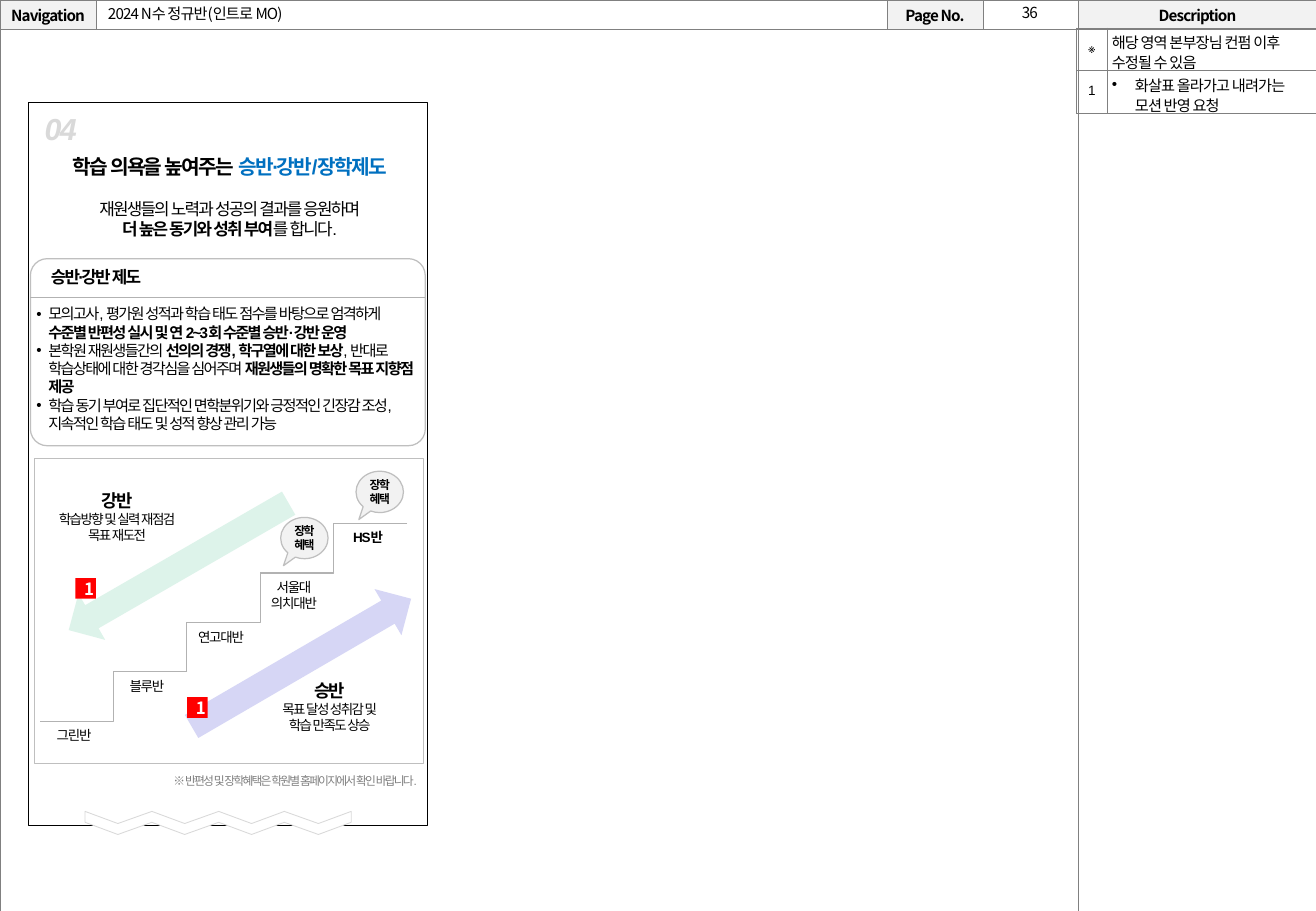
from lxml import etree
from pptx import Presentation, util as u
from pptx.dml.color import RGBColor
from pptx.enum import shapes, text
from pptx.oxml.ns import qn

PX = 9144
SANS, KOREAN = "Arial", "Noto Sans CJK KR"
COLOURS = {
    "black": "000000", "white": "FFFFFF", "head": "F2F2F2", "rule": "808080",
    "step": "B2B2B2", "edge": "BFBFBF", "pale": "D9D9D9", "blue": "0070C0",
    "red": "FF0000", "up": "D6D6F5", "down": "DDF3EA",
}
LEFT, CENTER, RIGHT = text.PP_ALIGN.LEFT, text.PP_ALIGN.CENTER, text.PP_ALIGN.RIGHT
MIDDLE = text.MSO_ANCHOR.MIDDLE
SHAPE = shapes.MSO_SHAPE


def colour(name):
    """Return the named colour."""
    return RGBColor.from_string(COLOURS[name])


def place(origin, left, top, width, height):
    """Return EMU lengths for a px box set inside the origin box."""
    return [n * PX for n in (origin[0] + left, origin[1] + top, width, height)]


def add_span(para, words, size=9, bold=False, italic=False, ink="black", spacing=-1,
             latin=SANS, asian=SANS):
    """Add one run to a paragraph."""
    span = para.add_run()
    span.text = words
    font = span.font
    font.size, font.bold, font.italic, font.name = u.Pt(size), bold, italic, latin
    font.color.rgb = colour(ink)
    props = font._element
    props.set("spc", str(round(spacing * 100)))
    etree.SubElement(props, qn("a:ea")).set("typeface", asian)


def write(frame, paras, align=CENTER, indent=0, line=None, gaps=None, **style):
    """Fill a text frame with paragraphs, each a list of words and overrides."""
    for i, spans in enumerate(paras):
        para = frame.paragraphs[0] if i == 0 else frame.add_paragraph()
        para.alignment = align
        if line:
            para.line_spacing = line
        if gaps and i in gaps:
            para.space_before = u.Pt(gaps[i])
        if indent:
            props = para._p.get_or_add_pPr()
            props.set("marL", str(indent * PX))
            props.set("indent", str(-indent * PX))
            etree.SubElement(props, qn("a:buFont")).set("typeface", SANS)
            etree.SubElement(props, qn("a:buChar")).set("char", "•")
        for words, changes in spans:
            add_span(para, words, **{**style, **changes})


def add_text(page, box, paras, anchor=text.MSO_ANCHOR.TOP, **style):
    """Add a wrapping text box."""
    frame = page.shapes.add_textbox(*box).text_frame
    frame.word_wrap, frame.vertical_anchor = True, anchor
    write(frame, paras, **style)


def paint(shape, fill=None, line=None, width=0.25):
    """Set fill and outline and drop the shadow."""
    shape.shadow.inherit = False
    if fill:
        shape.fill.solid()
        shape.fill.fore_color.rgb = colour(fill)
    else:
        shape.fill.background()
    if line:
        shape.line.color.rgb, shape.line.width = colour(line), u.Pt(width)
    else:
        shape.line.fill.background()
    return shape


def add_line(page, kind, start, end):
    """Add a thin grey connector between two px points."""
    line = page.shapes.add_connector(kind, *[n * PX for n in (*start, *end)])
    line.line.color.rgb, line.line.width = colour("step"), u.Pt(0.25)
    etree.SubElement(line._element.spPr, qn("a:effectLst"))


def add_grid(page, box, columns, rows):
    """Add an unstyled table with the given px columns and rows."""
    grid = page.shapes.add_table(len(rows), len(columns), *box).table
    grid.first_row = grid.horz_banding = False
    for column, width in zip(grid.columns, columns):
        column.width = width * PX
    for row, height in zip(grid.rows, rows):
        row.height = height * PX
    return grid


def style_cell(cell, fill=None, margin=0):
    """Set the fill, margins and borders of a cell."""
    cell.vertical_anchor = MIDDLE
    cell.margin_left = cell.margin_right = cell.margin_top = cell.margin_bottom = margin * PX
    if fill:
        cell.fill.solid()
        cell.fill.fore_color.rgb = colour(fill)
    else:
        cell.fill.background()
    for i, side in enumerate("LRTB"):
        edge = etree.Element(qn(f"a:ln{side}"), w=str(u.Pt(0.25)))
        ink = etree.SubElement(edge, qn("a:solidFill"))
        etree.SubElement(ink, qn("a:srgbClr")).set("val", COLOURS["rule"])
        cell._tc.get_or_add_tcPr().insert(i, edge)


def draw_page_grid(page, box):
    """Draw the page grid with its header labels, title and number."""
    grid = add_grid(page, place(box, 0, 0, *box[2:]), [79, 651, 79, 78, 197], [24, 727])
    style = dict(spacing=-0.5, latin=KOREAN, asian=KOREAN)
    labels = {0: "Navigation", 2: "Page No.", 4: "Description"}
    for i, cell in enumerate(grid.iter_cells()):
        style_cell(cell, "head" if i in labels else "white")
        if i in labels:
            write(cell.text_frame, [[(labels[i], {"bold": True})]], **style)
        else:
            etree.SubElement(cell.text_frame.paragraphs[0]._p, qn("a:endParaRPr"), sz="900")
    grid.cell(1, 0).merge(grid.cell(1, 3))
    add_text(page, place(box, 809, -2, 77, 25), [[("36", {})]], **style)
    add_text(page, place(box, 79, 0, 652, 23), [[("2024 N수 정규반(인트로 MO)", {})]],
             anchor=MIDDLE, align=LEFT, **style)


def draw_description(page, box):
    """Draw the table of notes in the right column."""
    grid = add_grid(page, place(box, 0, 0, *box[2:]), [25, 172], [35, 35])
    notes = [("※", "해당 영역 본부장님 컨펌 이후 수정될 수 있음", 0),
             ("1", "화살표 올라가고 내려가는 모션 반영 요청", 19)]
    for row, (mark, note, indent) in enumerate(notes):
        for column in (0, 1):
            style_cell(grid.cell(row, column), margin=4)
        write(grid.cell(row, 0).text_frame, [[(mark, {})]], size=8, line=0.9, asian=KOREAN)
        write(grid.cell(row, 1).text_frame, [[(note, {})]], align=LEFT, indent=indent,
              line=0.9, spacing=-0.5, asian=KOREAN)


def draw_intro(page, box):
    """Draw the section number, heading and lead."""
    bold = {"bold": True}
    add_text(page, place(box, 4, 2, 87, 40), [[("04", {})]], align=LEFT, size=18,
             bold=True, italic=True, ink="pale")
    add_text(page, place(box, -11, 38, 354, 81), [
        [("학습 의욕을 높여주는 ", {"size": 12, **bold}),
         ("승반∙강반/장학제도", {"size": 12, "ink": "blue", **bold})],
        [("재원생들의 노력과 성공의 결과를 응원하며", {})],
        [("더 높은 동기와 성취 부여", bold), ("를 합니다.", {})],
    ], size=10, gaps={1: 12})


def draw_rules(page, box):
    """Draw the rounded card that explains the class system."""
    card = paint(page.shapes.add_shape(SHAPE.ROUNDED_RECTANGLE, *place(box, 0, 0, *box[2:])),
                 "white", "edge", 0)
    card.adjustments[0] = 0.09
    left, top, width, _ = box
    add_line(page, shapes.MSO_CONNECTOR.STRAIGHT, (left, top + 32), (left + width, top + 32))
    add_text(page, place(box, -24, 2, 156, 27), [[("승반∙강반 제도", {})]], size=10, bold=True)
    bold = {"bold": True}
    add_text(page, place(box, -5, 33, 331, 116), [
        [("모의고사, 평가원 성적과 학습 태도 점수를 바탕으로 엄격하게 ", {}),
         ("수준별 반편성 실시 및 연 2~3회 수준별 승반·강반 운영", bold)],
        [("본학원 재원생들간의 ", {}), ("선의의 경쟁, 학구열에 대한 보상", bold),
         (", 반대로 학습상태에 대한 경각심을 심어주며 ", {}),
         ("재원생들의 명확한 목표 지향점 제공", bold)],
        [("학습 동기 부여로 집단적인 면학분위기와 긍정적인 긴장감 조성, "
          "지속적인 학습 태도 및 성적 향상 관리 가능", {})],
    ], align=LEFT, indent=10)


def draw_ladder(page, box):
    """Draw the class steps, the two arrows and their badges."""
    paint(page.shapes.add_shape(SHAPE.RECTANGLE, *place(box, 0, 0, *box[2:])), "white", "edge")
    left, top = box[:2]
    run, rise = 60.4, 40.75
    for i in range(4):
        x, y = round(left + 5 + run * i), round(top + 217 - rise * i)
        add_line(page, shapes.MSO_CONNECTOR.ELBOW, (x + 121, y - 41), (x, y))
    classes = [["그린반"], ["블루반"], ["연고대반"], ["서울대", "의치대반"], ["HS반"]]
    for i, names in enumerate(classes):
        area = place(box, round(-1 + run * i), round(217 - rise * i), 68, 24)
        add_text(page, area, [[(name, {})] for name in names], size=8, spacing=-0.8,
                 bold=i == 4)
    arrows = [
        (198, 64, 59.8, "up", 177, 178, ["승반", "목표 달성 성취감 및", "학습 만족도 상승"]),
        (97, -15, 240, "down", 2, 21, ["강반", "학습방향 및 실력 재점검", "목표 재도전"]),
    ]
    for x, y, turn, fill, text_x, text_y, (name, *lines) in arrows:
        arrow = page.shapes.add_shape(SHAPE.UP_ARROW, *place(box, x, y, 44, 209))
        paint(arrow, fill).rotation = turn
        paras = [[(name, {"size": 10.5, "bold": True})]] + [[(line, {})] for line in lines]
        add_text(page, place(box, text_x, text_y, 133, 55), paras, size=8)
    for x, y in ((265, 11), (203, 49)):
        bubble = page.shapes.add_shape(SHAPE.OVAL_CALLOUT, *place(box, x, y, 39, 34))
        paint(bubble, "head", "edge", 0)
        bubble.adjustments[0], bubble.adjustments[1] = -0.44, 0.67
        bubble.text_frame.word_wrap, bubble.text_frame.vertical_anchor = False, MIDDLE
        write(bubble.text_frame, [[("장학", {})], [("혜택", {})]], size=7, bold=True, spacing=-0.8)
    for x, y in ((34, 99), (126, 197)):
        badge = paint(page.shapes.add_shape(SHAPE.RECTANGLE, *place(box, x, y, 17, 17)), "red")
        badge.text_frame.vertical_anchor = MIDDLE
        write(badge.text_frame, [[("1", {})]], size=10, bold=True, ink="white", spacing=0,
              latin=KOREAN, asian=KOREAN)


def draw_frame(page, box):
    """Draw the phone frame, its torn lower edge and the footnote."""
    left, top, width, height = box
    paint(page.shapes.add_shape(SHAPE.RECTANGLE, *place(box, 0, 0, width, height)), None, "black")
    tops = [(left + 47 + 219 * i / 8, top + height - 11 + i % 2 * 10) for i in range(9)]
    points = tops + [(x, y + 9) for x, y in reversed(tops)]
    outline = page.shapes.build_freeform(*points[0], scale=PX)
    outline.add_line_segments(points[1:], close=True)
    paint(outline.convert_to_shape(), "white", "pale", 0.5)
    add_text(page, place(box, 73, 548, 257, 22),
             [[("※ 반편성 및 장학혜택은 학원별 홈페이지에서 확인 바랍니다.", {})]],
             align=RIGHT, size=7, ink="rule")


def main():
    """Build the one-page deck."""
    deck = Presentation()
    deck.slide_width, deck.slide_height = 1083 * PX, 750 * PX
    page = deck.slides.add_slide(deck.slide_layouts[6])
    draw_page_grid(page, (0, 0, 1084, 751))
    draw_ladder(page, (28, 377, 320, 251))
    draw_intro(page, (23, 84, 329, 595))
    draw_rules(page, (25, 213, 325, 154))
    draw_frame(page, (23, 84, 329, 595))
    draw_description(page, (886, 23, 197, 70))
    deck.save("out.pptx")


if __name__ == "__main__":
    main()
